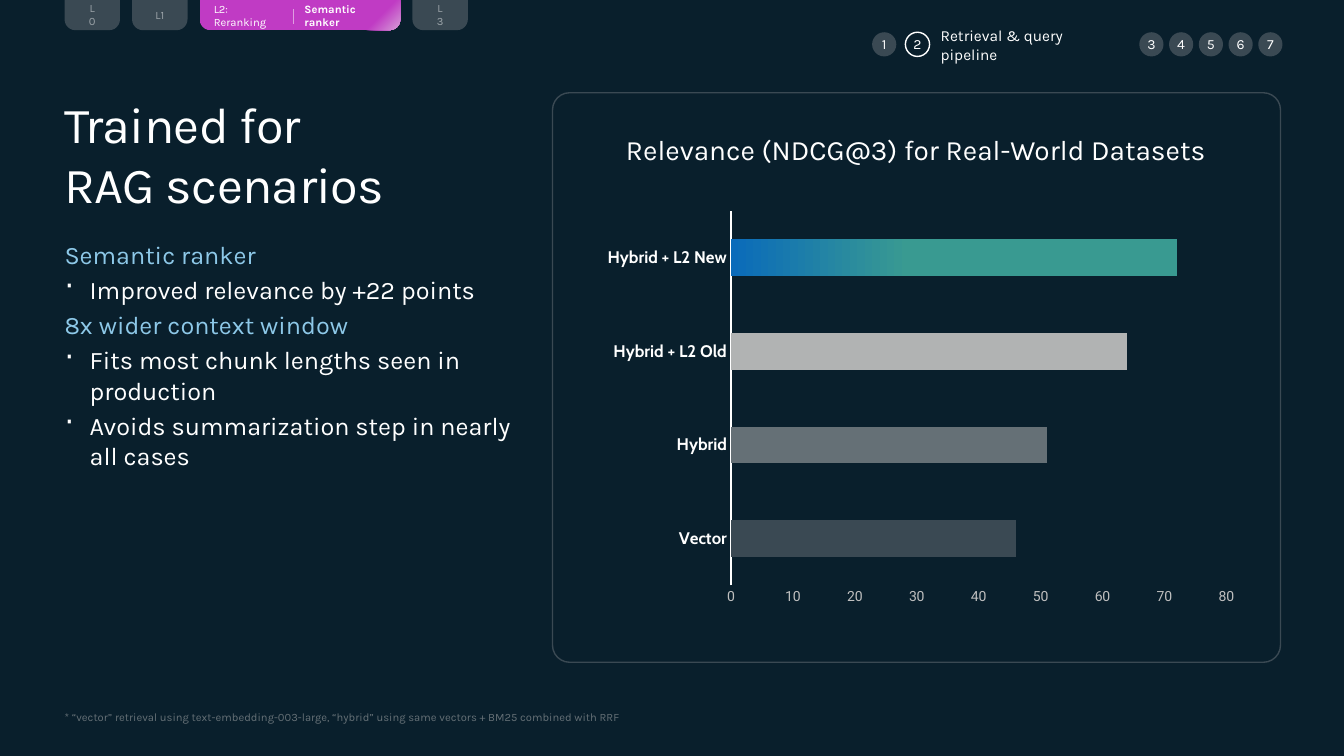
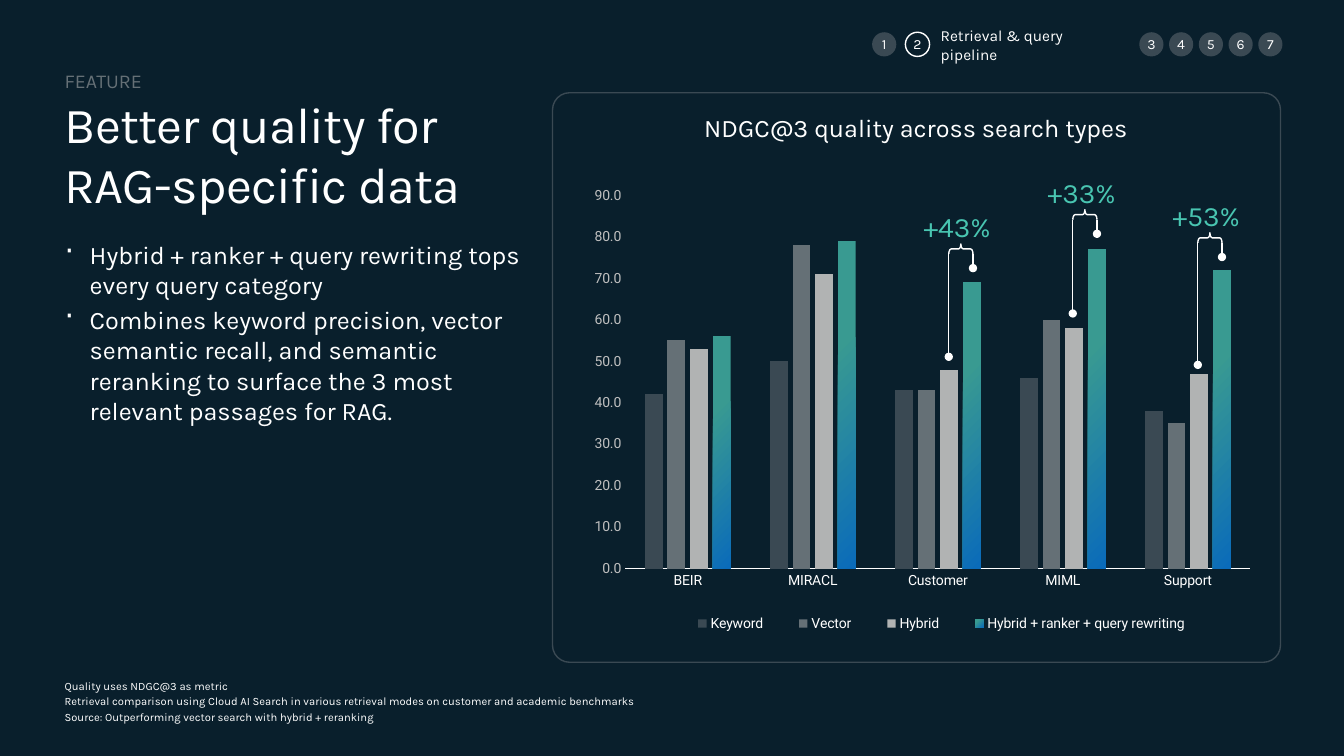
from lxml import etree
from pptx import Presentation
from pptx.chart.data import CategoryChartData
from pptx.dml.color import RGBColor
from pptx.enum.chart import XL_CHART_TYPE, XL_LEGEND_POSITION, XL_TICK_MARK
from pptx.enum.shapes import MSO_CONNECTOR, MSO_SHAPE
from pptx.enum.text import MSO_ANCHOR, PP_ALIGN
from pptx.oxml.ns import qn
from pptx.util import Inches, Pt

# Colours
NAVY = RGBColor(0x09, 0x1F, 0x2C)
SLATE = RGBColor(0x3A, 0x49, 0x53)
STEEL = RGBColor(0x65, 0x70, 0x76)
SILVER = RGBColor(0xB1, 0xB3, 0xB3)
PALE = RGBColor(0xBF, 0xBF, 0xBF)
MIST = RGBColor(0x9C, 0xA4, 0xA9)
WHITE = RGBColor(0xFF, 0xFF, 0xFF)
SKY = RGBColor(0x8D, 0xC8, 0xE8)
MINT = RGBColor(0x49, 0xC5, 0xB1)
TEAL = RGBColor(0x39, 0x9A, 0x91)
BLUE = RGBColor(0x0A, 0x6B, 0xBA)
PLUM = RGBColor(0xC0, 0x3B, 0xC4)
LILAC = RGBColor(0xD5, 0x9E, 0xD7)
PINK = RGBColor(0xDF, 0x9D, 0xE1)

TEXT_FONT, AXIS_FONT, CHART_FONT = "Karla", "Roboto", "Cabin"

# Enum members
BAR = XL_CHART_TYPE.BAR_CLUSTERED
COLUMN = XL_CHART_TYPE.COLUMN_CLUSTERED
BELOW = XL_LEGEND_POSITION.BOTTOM
NO_TICK = XL_TICK_MARK.NONE
STRAIGHT = MSO_CONNECTOR.STRAIGHT
OVAL = MSO_SHAPE.OVAL
PANEL = MSO_SHAPE.ROUNDED_RECTANGLE
TAB = MSO_SHAPE.ROUND_2_SAME_RECTANGLE
BRACE = MSO_SHAPE.LEFT_BRACE
TOP, MIDDLE, BOTTOM = MSO_ANCHOR.TOP, MSO_ANCHOR.MIDDLE, MSO_ANCHOR.BOTTOM
LEFT, CENTER = PP_ALIGN.LEFT, PP_ALIGN.CENTER


def inches(box):
    return [Inches(v) for v in box]


def style(font, size, color, name=TEXT_FONT, bold=False):
    font.size, font.name, font.bold = Pt(size), name, bold
    font.color.rgb = color


def add_bullet(par):
    props = par._p.get_or_add_pPr()
    props.set("marL", str(Inches(0.25)))
    props.set("indent", str(-Inches(0.25)))
    tint = etree.SubElement(props, qn("a:buClr"))
    etree.SubElement(tint, qn("a:srgbClr"), val=str(WHITE))
    etree.SubElement(props, qn("a:buSzPct"), val="120000")
    etree.SubElement(props, qn("a:buChar"), char="·")


def fill_text(frame, lines, size, color=WHITE, anchor=TOP, align=LEFT,
              bold=False, wrap=True):
    """Lines are strings, or (text, colour, bulleted) tuples."""
    frame.margin_left = frame.margin_right = 0
    frame.margin_top = frame.margin_bottom = 0
    frame.word_wrap, frame.vertical_anchor = wrap, anchor
    for i, line in enumerate(lines):
        text, tint, bullet = (line, color, False) if isinstance(line, str) else line
        par = frame.add_paragraph() if i else frame.paragraphs[0]
        par.text, par.alignment = text, align
        if bullet:
            add_bullet(par)
        if i:
            par.space_before = Pt(size * 0.2)
        style(par.font, size, tint, bold=bold)


def add_text(slide, box, lines, size, **looks):
    frame = slide.shapes.add_textbox(*inches(box)).text_frame
    fill_text(frame, lines, size, **looks)
    return frame


def add_shape(slide, kind, box, fill=None, line=None):
    shape = slide.shapes.add_shape(kind, *inches(box))
    shape.shadow.inherit = False
    if fill is None:
        shape.fill.background()
    else:
        shape.fill.solid()
        shape.fill.fore_color.rgb = fill
    if line is None:
        shape.line.fill.background()
    else:
        shape.line.color.rgb, shape.line.width = line, Pt(1)
    return shape


def add_line(slide, x, top, end, color=WHITE, width=1, dot=False):
    line = slide.shapes.add_connector(STRAIGHT, *inches((x, top, x, end)))
    line.line.color.rgb, line.line.width = color, Pt(width)
    etree.SubElement(line.element.spPr, qn("a:effectLst"))
    if dot:
        etree.SubElement(line.line._get_or_add_ln(), qn("a:tailEnd"), type="oval")


def blend(fill, stops, angle=0):
    fill.gradient()
    fill.gradient_angle = angle
    for stop, (place, color) in zip(fill.gradient_stops, stops):
        stop.position, stop.color.rgb = place, color


def radiate(root):
    """Turn the gradients in an element to circles from the lower right."""
    for grad in root.iter(qn("a:gradFill")):
        grad.remove(grad.find(qn("a:lin")))
        path = etree.SubElement(grad, qn("a:path"), path="circle")
        etree.SubElement(path, qn("a:fillToRect"), l="100000", t="100000")


# Chart parts

def set_layout(part, spot, box, inner=False):
    for old in part.findall(qn("c:layout")):
        part.remove(old)
    layout = etree.Element(qn("c:layout"))
    manual = etree.SubElement(layout, qn("c:manualLayout"))
    if inner:
        etree.SubElement(manual, qn("c:layoutTarget"), val="inner")
    for name in ("xMode", "yMode"):
        etree.SubElement(manual, qn("c:" + name), val="edge")
    for name, value in zip("xywh", box):
        etree.SubElement(manual, qn("c:" + name), val=str(value))
    part.insert(spot, layout)


def add_chart(slide, kind, box, cats, series, plot, gap, top, fmt="General"):
    data = CategoryChartData(number_format=fmt)
    data.categories = cats
    for name, values in series:
        data.add_series(name, values)
    chart = slide.shapes.add_chart(kind, *inches(box), data).chart
    chart.has_title = chart.has_legend = False
    style(chart.font, 10, WHITE, CHART_FONT)
    chart.plots[0].gap_width = gap
    chart.plots[0].vary_by_categories = False
    for axis in (chart.category_axis, chart.value_axis):
        axis.has_major_gridlines = False
        axis.major_tick_mark = axis.minor_tick_mark = NO_TICK
    line = chart.category_axis.format.line
    line.color.rgb, line.width = WHITE, Pt(1)
    values = chart.value_axis
    values.minimum_scale, values.maximum_scale, values.major_unit = 0, top, 10
    values.format.line.fill.background()
    values.tick_labels.number_format = fmt
    values.tick_labels.number_format_is_linked = False
    style(values.tick_labels.font, 10, PALE, AXIS_FONT)
    set_layout(chart.element.find(".//" + qn("c:plotArea")), 0, plot, True)
    return chart


def paint(parts, colors):
    for part, color in zip(parts, colors):
        part.format.fill.solid()
        part.format.fill.fore_color.rgb = color


def add_gains(slide, box):
    """Bar chart of relevance by retrieval mode."""
    cats = ["Vector", "Hybrid", "Hybrid + L2 Old", "Hybrid + L2 New"]
    chart = add_chart(slide, BAR, box, cats, [("Series 1", (46, 51, 64, 72))],
                      (0.25, 0.16, 0.71, 0.76), 156, 80)
    style(chart.category_axis.tick_labels.font, 12, WHITE, CHART_FONT, True)
    points = [chart.series[0].points[i] for i in range(len(cats))]
    paint(points, (SLATE, STEEL, SILVER))
    blend(points[-1].format.fill, ((0.6, TEAL), (1, BLUE)), 180)


def add_types(slide, box):
    """Column chart of quality by data set and search type."""
    series = [("Keyword", (42, 50, 43, 46, 38)),
              ("Vector", (55, 78, 43, 60, 35)),
              ("Hybrid", (53, 71, 48, 58, 47)),
              ("Hybrid + ranker + query rewriting", (56, 79, 69, 77, 72))]
    chart = add_chart(slide, COLUMN, box,
                      ["BEIR", "MIRACL", "Customer", "MIML", "Support"], series,
                      (0.08, 0.04, 0.9, 0.75), 219, 90, "0.0")
    chart.plots[0].overlap = -27
    style(chart.category_axis.tick_labels.font, 10, WHITE, AXIS_FONT)
    paint(chart.series, (SLATE, STEEL, SILVER))
    blend(chart.series[3].format.fill, ((0, BLUE), (0.7, TEAL)))
    radiate(chart.element)
    chart.has_legend = True
    legend = chart.legend
    legend.position, legend.include_in_layout = BELOW, False
    style(legend.font, 10, WHITE, AXIS_FONT)
    set_layout(chart.element.find(".//" + qn("c:legend")), 1,
               (0.14, 0.87, 0.79, 0.06))


def add_gap(slide, x, y, end, label):
    """Bracket between two columns, with its label above."""
    brace = add_shape(slide, BRACE, (x + 0.07, y - 0.07, 0.1, 0.24), line=WHITE)
    brace.rotation = 90
    brace.adjustments[0] = 0.23
    add_line(slide, x, y + 0.1, end, dot=True)
    add_line(slide, x + 0.24, y + 0.1, y + 0.24, dot=True)
    add_text(slide, (x - 0.25, y - 0.34, 0.76, 0.34), [label], 20, color=MINT)


# Navigation

def add_steps(slide, x, y):
    """Numbered steps, the second one open with its name."""
    size, pitch = 0.24, 0.295
    spots = [0, 0.33] + [2.65 + pitch * i for i in range(5)]
    for step, left in enumerate(spots, 1):
        fill, line = (NAVY, WHITE) if step == 2 else (SLATE, None)
        dot = add_shape(slide, OVAL, (x + left, y, size, size), fill, line)
        fill_text(dot.text_frame, [str(step)], 10, anchor=MIDDLE, align=CENTER,
                  wrap=False)
    add_text(slide, (x + 0.68, y + 0.03, 1.8, 0.19),
             ["Retrieval & query pipeline"], 11, anchor=MIDDLE)


def add_tabs(slide, x, y):
    """Layer tabs on the top edge, with the third one open."""
    for name in ("L0", "L1", "L2", "L3"):
        active = name == "L2"
        width = 1.99 if active else 0.55
        tab = add_shape(slide, TAB, (x, y, width, 0.3), SLATE)
        tab.adjustments[0], tab.adjustments[1] = 0, 0.36
        if active:
            blend(tab.fill, ((0, LILAC), (0.15, PLUM)))
            radiate(tab.element)
            add_text(slide, (x + 0.14, y + 0.08, 0.69, 0.15), ["L2: Reranking"], 8,
                     anchor=MIDDLE, wrap=False)
            add_line(slide, x + 0.93, y + 0.09, y + 0.24, PINK, 0.75)
            add_text(slide, (x + 1.04, y + 0.08, 0.8, 0.15), ["Semantic ranker"], 8,
                     anchor=MIDDLE, bold=True)
        else:
            add_text(slide, (x + 0.22, y + 0.07, 0.11, 0.15), [name], 8,
                     color=MIST, anchor=MIDDLE, align=CENTER)
        x += width + 0.12


# Slides

def add_base(deck, title, body, notes, tint):
    slide = deck.slides.add_slide(deck.slide_layouts[6])
    slide.background.fill.solid()
    slide.background.fill.fore_color.rgb = NAVY
    panel = add_shape(slide, PANEL, (5.48, 0.92, 7.22, 5.65), line=SLATE)
    panel.adjustments[0] = 0.03
    head = add_text(slide, (0.64, 0.92, 4.55, 1.21), [title], 36)
    head.paragraphs[0]._p.pPr.find(qn("a:defRPr")).set("spc", "-50")
    add_text(slide, (0.64, 2.37, 4.56, 2.36), body, 18)
    add_text(slide, (0.64, 6.72, 7.95, 0.46), notes, 8, color=tint, anchor=BOTTOM)
    add_steps(slide, 8.65, 0.32)
    return slide


def add_trained(deck):
    body = [("Semantic ranker", SKY, False),
            ("Improved relevance by +22 points", WHITE, True),
            ("8x wider context window", SKY, False),
            ("Fits most chunk lengths seen in production", WHITE, True),
            ("Avoids summarization step in nearly all cases", WHITE, True)]
    note = ("* “vector” retrieval using text-embedding-003-large, “hybrid” using "
            "same vectors + BM25 combined with RRF")
    slide = add_base(deck, "Trained for \vRAG scenarios", body, [note], STEEL)
    add_gains(slide, (5.52, 1.31, 6.92, 4.89))
    add_tabs(slide, 0.64, 0)
    add_text(slide, (5.48, 1.31, 7.21, 0.34),
             ["Relevance (NDCG@3) for Real-World Datasets"], 20, align=CENTER)


def add_better(deck):
    body = [("Hybrid + ranker + query rewriting tops every query category",
             WHITE, True),
            ("Combines keyword precision, vector semantic recall, and semantic "
             "reranking to surface the 3 most relevant passages for RAG.",
             WHITE, True)]
    notes = ["Quality uses NDGC@3 as metric",
             "Retrieval comparison using Cloud AI Search in various retrieval modes "
             "on customer and academic benchmarks",
             "Source: Outperforming vector search with hybrid + reranking"]
    slide = add_base(deck, "Better quality for RAG-specific data", body, notes, WHITE)
    add_text(slide, (0.64, 0.68, 4.55, 0.24), ["FEATURE"], 14, color=STEEL)
    add_text(slide, (5.48, 1.11, 7.21, 0.3),
             ["NDGC@3 quality across search types"], 18, align=CENTER)
    add_types(slide, (5.65, 1.74, 6.89, 4.94))
    for gap in ((9.41, 2.42, 3.54, "+43%"), (10.64, 2.08, 3.11, "+33%"),
                (11.88, 2.31, 3.62, "+53%")):
        add_gap(slide, *gap)


def main():
    deck = Presentation()
    deck.slide_width, deck.slide_height = Inches(13.33), Inches(7.5)
    add_trained(deck)
    add_better(deck)
    deck.save("out.pptx")


if __name__ == "__main__":
    main()
